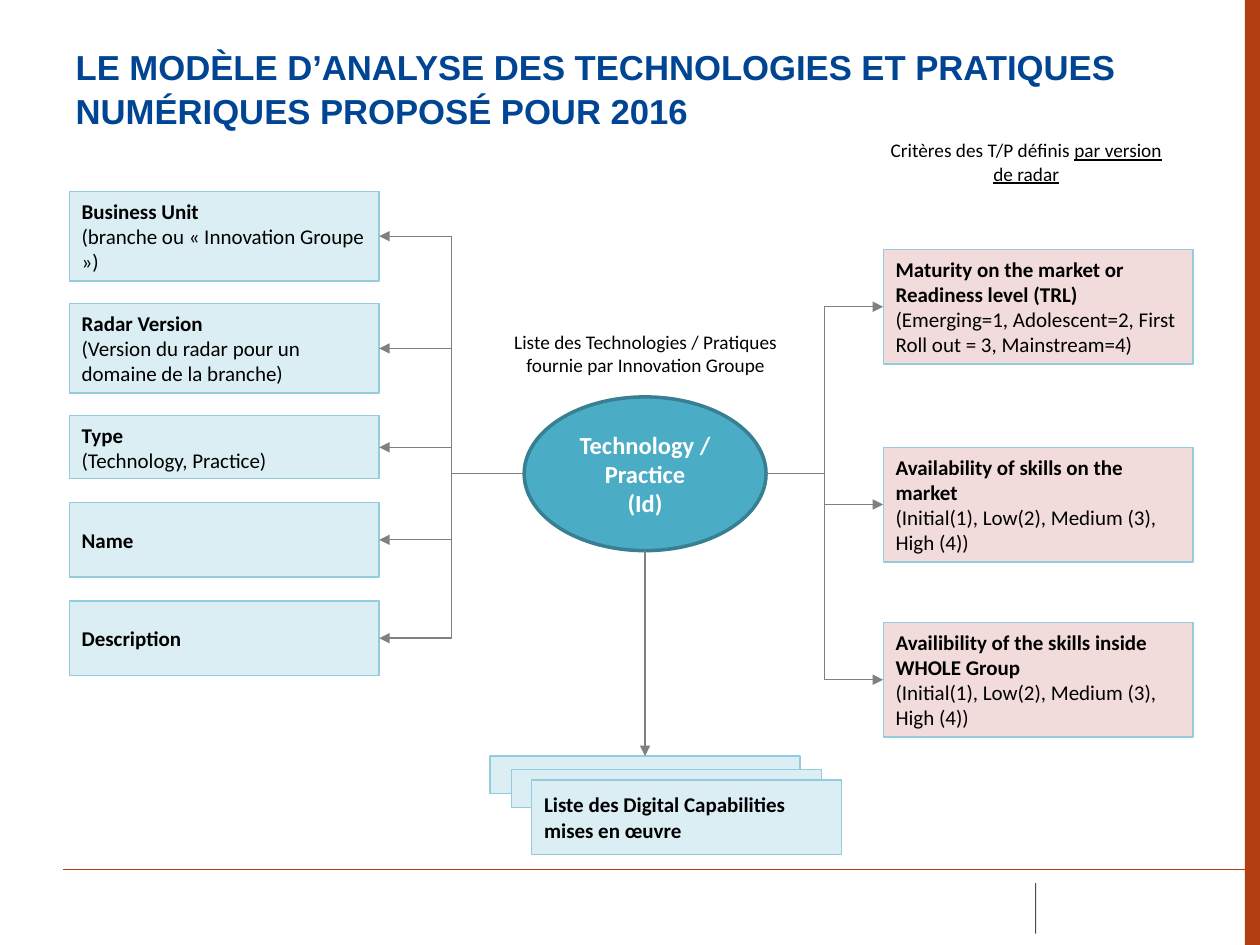
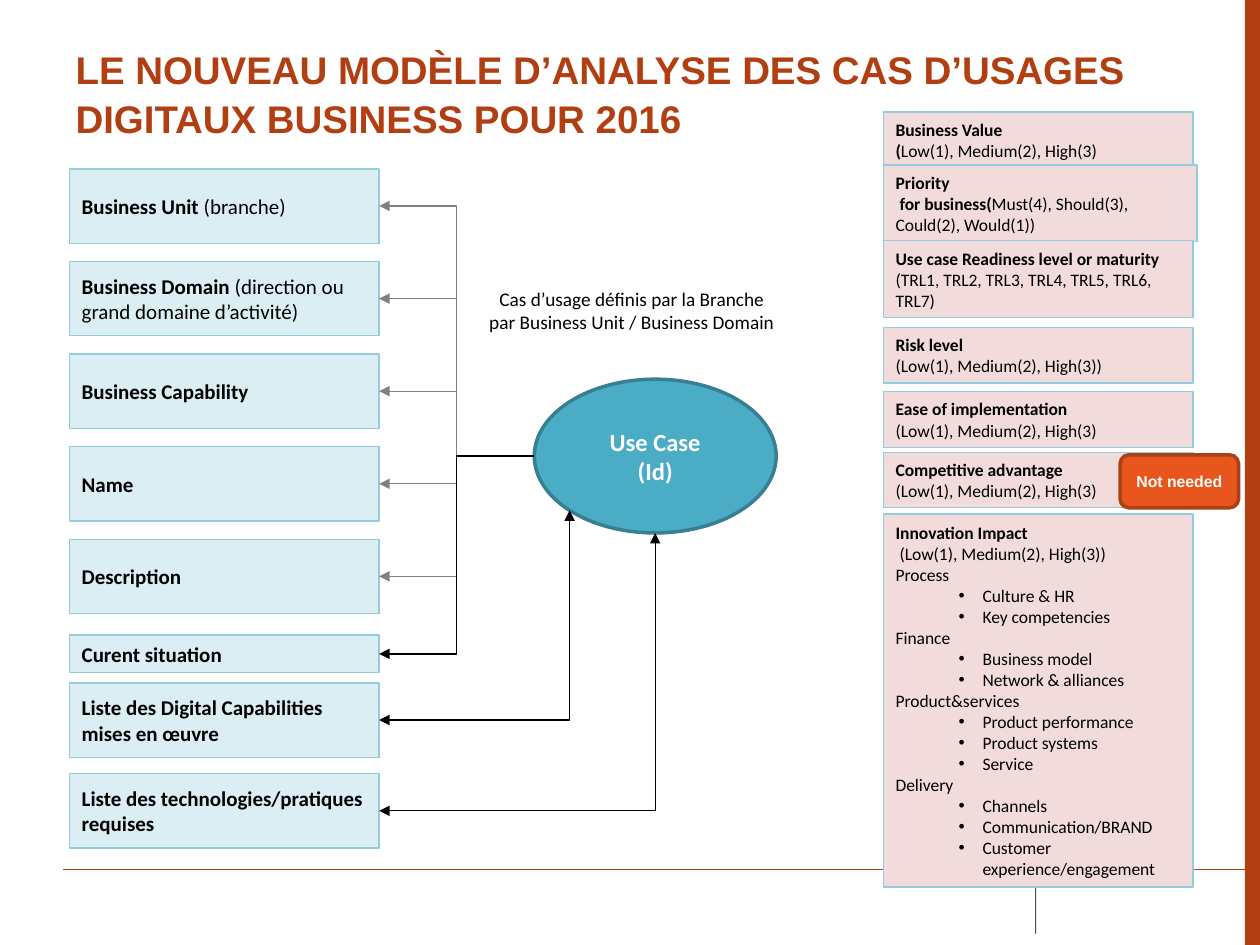
"""Build two slides on the 2016 analysis models for technologies and use cases."""
from dataclasses import dataclass
from math import cos, radians, sin

from lxml.etree import SubElement
from pptx import Presentation
from pptx.dml.color import RGBColor
from pptx.enum.shapes import MSO_CONNECTOR as Link, MSO_SHAPE as Shape
from pptx.enum.text import MSO_ANCHOR as Anchor, MSO_AUTO_SIZE as AutoSize, PP_ALIGN as Align
from pptx.oxml.ns import qn
from pptx.util import Inches, Pt


@dataclass(frozen=True)
class Theme:
    """Colours, fonts and type sizes of the deck."""
    rust: str = "B23F12"
    blue: str = "004494"
    black: str = "000000"
    white: str = "FFFFFF"
    grey: str = "808080"
    sky: str = "DBEEF4"
    rose: str = "F2DCDB"
    box_edge: str = "93CDDD"
    hub: str = "4BACC6"
    hub_edge: str = "377F92"
    tag: str = "E8561E"
    tag_edge: str = "AC4016"
    body_font: str = "Calibri"
    title_font: str = "Arial"
    hub_size: float = 14
    box_size: float = 12
    caption_size: float = 11
    criterion_size: float = 10
    tag_size: float = 9
    thin: float = 0.75
    thick: float = 2


@dataclass(frozen=True)
class Line:
    """One paragraph: bold, plain and underlined words in that order."""
    bold: str = ""
    plain: str = ""
    underlined: str = ""
    bullet: bool = False


@dataclass(frozen=True)
class Style:
    """Look of a shape and of its text."""
    fill: str
    edge: str
    size: float
    ink: str = "000000"
    font: str = "Calibri"
    weight: float = 0.75
    align: Align = Align.LEFT
    shape: Shape = Shape.RECTANGLE


@dataclass(frozen=True)
class Box:
    """A box in a column, with its lines of text."""
    top: float
    height: float
    lines: tuple[Line, ...]
    width: float = 2.46


THEME = Theme()
LEFT_X, RIGHT_X, BOX_W, BOX_H = 0.55, 7.01, 2.46, 0.59
HUB_W, HUB_H = 1.92, 1.22
HUB_LEFT, HUB_LOWER_LEFT, HUB_BOTTOM, HUB_RIGHT = 2, 3, 4, 6
BOX_TOP, BOX_LEFT, BOX_RIGHT = 0, 1, 3

ATTRIBUTE = Style(THEME.sky, THEME.box_edge, THEME.box_size)
CRITERION = Style(THEME.rose, THEME.box_edge, THEME.box_size)
SMALL_CRITERION = Style(THEME.rose, THEME.box_edge, THEME.criterion_size)
HUB = Style(THEME.hub, THEME.hub_edge, THEME.hub_size, THEME.white,
            weight=THEME.thick, align=Align.CENTER, shape=Shape.OVAL)
TAG = Style(THEME.tag, THEME.tag_edge, THEME.tag_size, THEME.white, THEME.title_font,
            THEME.thick, Align.CENTER, Shape.ROUNDED_RECTANGLE)

SKILL_LEVELS = Line(plain="(Initial(1), Low(2), Medium (3), High (4))")
RATING = Line(plain="(Low(1), Medium(2), High(3)")
CAPABILITIES = (Line("Liste des Digital Capabilities mises en œuvre"),)
TECHNOLOGY_ATTRIBUTES = (
    Box(1.52, 0.71, (Line("Business Unit"), Line(plain="(branche ou « Innovation Groupe »)"))),
    Box(2.41, 0.71, (Line("Radar Version"),
                     Line(plain="(Version du radar pour un domaine de la branche)"))),
    Box(3.3, 0.5, (Line("Type"), Line(plain="(Technology, Practice)"))),
    Box(3.99, BOX_H, (Line("Name"),)),
    Box(4.77, BOX_H, (Line("Description"),)),
)
TECHNOLOGY_CRITERIA = (
    Box(1.98, 0.91, (Line("Maturity on the market or Readiness level (TRL)"),
                     Line(plain="(Emerging=1, Adolescent=2, First Roll out = 3, Mainstream=4)"))),
    Box(3.55, 0.91, (Line("Availability of skills on the market"), SKILL_LEVELS)),
    Box(4.94, 0.91, (Line("Availibility of the skills inside WHOLE Group"), SKILL_LEVELS)),
)
USE_CASE_FIELDS = (
    Line("Business Unit ", "(branche)"),
    Line("Business Domain ", "(direction ou grand domaine d’activité)"),
    Line("Business Capability"), Line("Name"), Line("Description"),
)
INNOVATION_IMPACTS = {
    "Process": ("Culture & HR", "Key competencies"),
    "Finance": ("Business model", "Network & alliances"),
    "Product&services": ("Product performance", "Product systems", "Service"),
    "Delivery": ("Channels", "Communication/BRAND", "Customer experience/engagement"),
}
IMPACT_LINES = tuple(
    line for area, items in INNOVATION_IMPACTS.items()
    for line in (Line(plain=area), *(Line(plain=item, bullet=True) for item in items)))
USE_CASE_CRITERIA = (
    Box(0.89, 0.44, (Line("Business Value"), Line("(", "Low(1), Medium(2), High(3)"))),
    Box(1.31, 0.61, (Line("Priority"),
                     Line(" for business(", "Must(4), Should(3), Could(2), Would(1))")), 2.49),
    Box(1.91, 0.61, (Line("Use case Readiness level or maturity"),
                     Line(plain="(TRL1, TRL2, TRL3, TRL4, TRL5, TRL6, TRL7)"))),
    Box(2.6, 0.44, (Line("Risk level"), Line(plain="(Low(1), Medium(2), High(3))"))),
    Box(3.11, 0.44, (Line("Ease of implementation"), RATING)),
    Box(3.59, 0.44, (Line("Competitive advantage"), RATING)),
    Box(4.08, 2.96, (Line("Innovation Impact"), Line(" ", "(Low(1), Medium(2), High(3))"),
                     *IMPACT_LINES)),
)


def rgb(value: str) -> RGBColor:
    """Turn a hex string into a colour."""
    return RGBColor.from_string(value)


def add_bullet(para) -> None:
    """Indent a paragraph and give it a round bullet."""
    para.level = 1
    props = para._p.get_or_add_pPr()
    props.set("marL", str(Inches(0.69)))
    props.set("indent", str(Inches(-0.19)))
    mark = props.makeelement(qn("a:buChar"), {"char": "•"})
    face = props.makeelement(qn("a:buFont"), {"typeface": THEME.title_font})
    props.insert(0, face)
    props.insert(1, mark)


def write(frame, lines: tuple[Line, ...], size: float, ink: str, font: str, align: Align) -> None:
    """Fill a text frame with lines, centred vertically."""
    frame.word_wrap = True
    frame.vertical_anchor = Anchor.MIDDLE
    for index, line in enumerate(lines):
        para = frame.paragraphs[0] if index == 0 else frame.add_paragraph()
        para.alignment = align
        para.font.size, para.font.name = Pt(size), font
        para.font.color.rgb = rgb(ink)
        for part in ("bold", "plain", "underlined"):
            if text := getattr(line, part):
                span = para.add_run()
                span.text = text
                span.font.bold = part == "bold"
                if part == "underlined":
                    span.font.underline = True
        if line.bullet:
            add_bullet(para)


def add_box(page, style: Style, left: float, top: float, width: float, height: float,
            lines: tuple[Line, ...] = ()):
    """Draw one styled shape with its text."""
    box = page.shapes.add_shape(style.shape, Inches(left), Inches(top), Inches(width), Inches(height))
    box.shadow.inherit = False
    box.fill.solid()
    box.fill.fore_color.rgb = rgb(style.fill)
    box.line.color.rgb = rgb(style.edge)
    box.line.width = Pt(style.weight)
    write(box.text_frame, lines, style.size, style.ink, style.font, style.align)
    return box


def add_column(page, style: Style, left: float, boxes: tuple[Box, ...]) -> list:
    """Draw a column of boxes and return their shapes."""
    return [add_box(page, style, left, box.top, box.width, box.height, box.lines) for box in boxes]


def add_caption(page, left: float, top: float, line: Line) -> None:
    """Add a centred caption."""
    box = page.shapes.add_textbox(Inches(left), Inches(top), Inches(2.53), Inches(0.47))
    write(box.text_frame, (line,), THEME.caption_size, THEME.black, THEME.body_font, Align.CENTER)


def format_line(line, color: str, width: float) -> None:
    """Set colour and width of a connector and drop its shadow."""
    line.line.color.rgb = rgb(color)
    line.line.width = Pt(width)
    SubElement(line._element.spPr, qn("a:effectLst"))


def link(page, hub, site: int, box, side: int, color: str = THEME.grey,
         kind: Link = Link.ELBOW, corner: bool = False) -> None:
    """Join a box to a site of the hub, with an arrowhead at the box or, on a corner, at both ends."""
    angle = radians(90 + 45 * site)
    end_x = hub.left + hub.width / 2 * (1 + cos(angle))
    end_y = hub.top + hub.height / 2 * (1 - sin(angle))
    arrow = page.shapes.add_connector(kind, box.left, box.top, round(end_x), round(end_y))
    arrow.begin_connect(box, side)
    SubElement(arrow._element.nvCxnSpPr.cNvCxnSpPr, qn("a:endCxn"), id=str(hub.shape_id), idx=str(site))
    format_line(arrow, color, THEME.thin)
    outline = arrow.line._get_or_add_ln()
    SubElement(outline, qn("a:headEnd"), type="triangle")
    if corner:
        SubElement(outline, qn("a:tailEnd"), type="triangle")
        arrow._element.spPr.find(qn("a:prstGeom")).set("prst", "bentConnector2")


def add_page(deck, title: str, color: str, size: float):
    """Add a slide with the shared band, rules and title."""
    page = deck.slides.add_slide(deck.slide_layouts[5])
    band = page.shapes.add_shape(Shape.RECTANGLE, Inches(9.88), 0, Inches(0.12), Inches(7.5))
    band.shadow.inherit = False
    band.fill.solid()
    band.fill.fore_color.rgb = rgb(THEME.rust)
    band.line.fill.background()
    rule = page.shapes.add_connector(Link.STRAIGHT, Inches(0.5), Inches(6.9), Inches(10), Inches(6.9))
    format_line(rule, THEME.rust, THEME.thin)
    divider = page.shapes.add_connector(Link.STRAIGHT, Inches(8.22), Inches(7.01), Inches(8.22), Inches(7.41))
    format_line(divider, THEME.black, 0.5)
    SubElement(next(divider._element.iter(qn("a:srgbClr"))), qn("a:alpha"), val="70000")

    heading = page.shapes.title
    heading.left, heading.top = Inches(0.5), Inches(0.3)
    heading.width, heading.height = Inches(8.99), Inches(0.69)
    frame = heading.text_frame
    frame.text = title
    frame.word_wrap, frame.auto_size = True, AutoSize.NONE
    frame.vertical_anchor = Anchor.TOP
    para = frame.paragraphs[0]
    para.alignment, para.line_spacing = Align.LEFT, 1.05
    para.font.name, para.font.size, para.font.bold = THEME.title_font, Pt(size), True
    para.font.color.rgb = rgb(color)
    return page


def add_technology_page(deck) -> None:
    """Build the technology and practice model."""
    page = add_page(deck, "LE MODÈLE D’ANALYSE DES TECHNOLOGIES ET PRATIQUES NUMÉRIQUES PROPOSÉ POUR 2016",
                    THEME.blue, 19.8)
    hub = add_box(page, HUB, 4.16, 3.15, HUB_W, HUB_H, (Line("Technology / Practice"), Line("(Id)")))
    for box in add_column(page, ATTRIBUTE, LEFT_X, TECHNOLOGY_ATTRIBUTES):
        link(page, hub, HUB_LEFT, box, BOX_RIGHT)
    for box in add_column(page, CRITERION, RIGHT_X, TECHNOLOGY_CRITERIA):
        link(page, hub, HUB_RIGHT, box, BOX_LEFT)
    back_sheet = add_box(page, ATTRIBUTE, 3.89, 6, BOX_W, 0.3)
    link(page, hub, HUB_BOTTOM, back_sheet, BOX_TOP, kind=Link.STRAIGHT)
    add_box(page, ATTRIBUTE, 4.06, 6.11, BOX_W, 0.3)
    add_box(page, ATTRIBUTE, 4.22, 6.19, BOX_W, BOX_H, CAPABILITIES)
    add_caption(page, 6.88, 1.05, Line(plain="Critères des T/P définis ", underlined="par version de radar"))
    add_caption(page, 3.86, 2.57, Line(plain="Liste des Technologies / Pratiques fournie par Innovation Groupe"))


def add_use_case_page(deck) -> None:
    """Build the business use case model."""
    page = add_page(deck, "LE NOUVEAU MODÈLE D’ANALYSE DES CAS D’USAGES DIGITAUX BUSINESS POUR 2016",
                    THEME.rust, 22)
    hub = add_box(page, HUB, 4.24, 3.01, HUB_W, HUB_H, (Line("Use Case"), Line("(Id)")))
    first, last = 1.34, 4.28
    step = (last - first) / (len(USE_CASE_FIELDS) - 1)
    fields = tuple(Box(first + step * row, BOX_H, (line,)) for row, line in enumerate(USE_CASE_FIELDS))
    for box in add_column(page, ATTRIBUTE, LEFT_X, fields):
        link(page, hub, HUB_LEFT, box, BOX_RIGHT)
    situation = add_box(page, ATTRIBUTE, LEFT_X, 5.04, BOX_W, 0.3, (Line("Curent situation"),))
    link(page, hub, HUB_LEFT, situation, BOX_RIGHT, THEME.black)
    lists = (Box(5.42, BOX_H, CAPABILITIES),
             Box(6.14, BOX_H, (Line("Liste des technologies/pratiques requises"),)))
    for box, site in zip(add_column(page, ATTRIBUTE, LEFT_X, lists), (HUB_LOWER_LEFT, HUB_BOTTOM)):
        link(page, hub, site, box, BOX_RIGHT, THEME.black, corner=True)
    add_column(page, SMALL_CRITERION, RIGHT_X, USE_CASE_CRITERIA)
    add_caption(page, 3.75, 2.23,
                Line(plain="Cas d’usage définis par la Branche par Business Unit / Business Domain"))
    add_box(page, TAG, 8.89, 3.61, 0.94, 0.42, (Line("Not needed"),))


def main() -> None:
    """Create and save the deck."""
    deck = Presentation()
    deck.slide_width, deck.slide_height = Inches(10), Inches(7.5)
    add_technology_page(deck)
    add_use_case_page(deck)
    deck.save("out.pptx")


if __name__ == "__main__":
    main()
